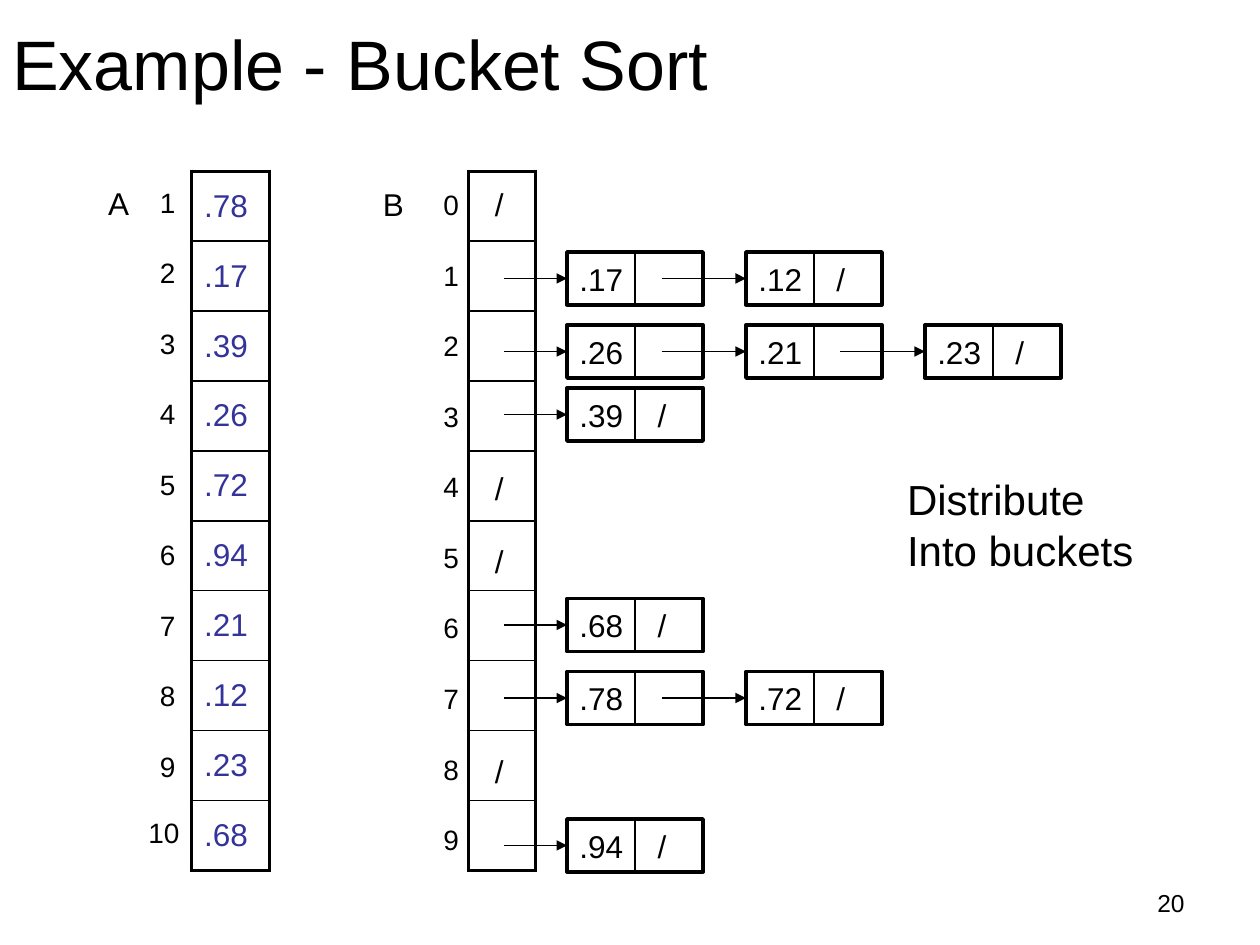
"""Build the bucket sort slide: array A, buckets B and their linked lists."""
from lxml import etree
from pptx import Presentation
from pptx.dml.color import RGBColor
from pptx.enum.shapes import MSO_CONNECTOR, MSO_SHAPE
from pptx.enum.text import MSO_ANCHOR, PP_ALIGN
from pptx.oxml.ns import qn
from pptx.util import Inches, Pt

BLACK = RGBColor(0x00, 0x00, 0x00)
INDIGO = RGBColor(0x33, 0x33, 0x99)
STRAIGHT = MSO_CONNECTOR.STRAIGHT
RECTANGLE = MSO_SHAPE.RECTANGLE
TOP, MIDDLE = MSO_ANCHOR.TOP, MSO_ANCHOR.MIDDLE
LEFT, RIGHT = PP_ALIGN.LEFT, PP_ALIGN.RIGHT

ARRAY = [".78", ".17", ".39", ".26", ".72", ".94", ".21", ".12", ".23", ".68"]
CHAINS = [
    (2.00, [".17", ".12"]),
    (2.58, [".26", ".21", ".23"]),
    (3.08, [".39"]),
    (4.75, [".68"]),
    (5.33, [".78", ".72"]),
    (6.50, [".94"]),
]
TABLE_TOP, TABLE_HEIGHT = 1.36, 5.55
LABEL_PITCH = 0.56
NODE_LEFT, NODE_PITCH = 4.5, 1.42
NODE_WIDTH, NODE_HEIGHT = 1.08, 0.42

deck = Presentation()
deck.slide_width, deck.slide_height = Inches(10), Inches(7.5)
slide = deck.slides.add_slide(deck.slide_layouts[6])


def write(frame, text, size, color=BLACK, align=LEFT):
    for index, line in enumerate(text.split("\n")):
        para = frame.add_paragraph() if index else frame.paragraphs[0]
        para.alignment = align
        if "\t" in line:
            stops = etree.SubElement(para._p.get_or_add_pPr(), qn("a:tabLst"))
            etree.SubElement(stops, qn("a:tab"), pos=str(Inches(0.62)), algn="l")
        span = para.add_run()
        span.text = line
        for name, value in {"size": Pt(size), "name": "Arial"}.items():
            setattr(span.font, name, value)
        span.font.color.rgb = color


def connect(x1, y1, x2, y2, arrow=False):
    line = slide.shapes.add_connector(
        STRAIGHT, Inches(x1), Inches(y1), Inches(x2), Inches(y2))
    line.line.color.rgb = BLACK
    line.line.width = Pt(0.75)
    if arrow:
        etree.SubElement(line.line._get_or_add_ln(), qn("a:tailEnd"), type="triangle")
    etree.SubElement(line._element.spPr, qn("a:effectLst"))
    return line


for left, width, values in [(1.52, 0.62, ARRAY), (3.72, 0.53, [""] * 10)]:
    table = slide.shapes.add_table(
        len(values), 1, Inches(left), Inches(TABLE_TOP),
        Inches(width), Inches(TABLE_HEIGHT)).table
    table.first_row = table.horz_banding = False
    last = len(values) - 1
    for index, value in enumerate(values):
        table.rows[index].height = Inches(TABLE_HEIGHT / len(values))
        cell = table.cell(index, 0)
        cell.vertical_anchor = MIDDLE
        if value:
            write(cell.text_frame, value, 18, INDIGO)
        borders = {
            "a:lnL": 2.25,
            "a:lnR": 2.25,
            "a:lnT": 1 if index else 2.25,
            "a:lnB": 2.25 if index == last else 1,
        }
        for tag, points in borders.items():
            edge = etree.SubElement(
                cell._tc.get_or_add_tcPr(), qn(tag), w=str(Pt(points)))
            paint = etree.SubElement(edge, qn("a:solidFill"))
            etree.SubElement(paint, qn("a:srgbClr"), val=str(BLACK))
        cell.fill.background()

labels = [
    ("Example - Bucket Sort", 0, 0, 9, 0.99, 40, MIDDLE, LEFT),
    ("20", 7.17, 7, 2.33, 0.35, 14, TOP, RIGHT),
    ("A", 0.76, 1.41, 0.37, 0.4, 18, TOP, LEFT),
    ("B", 2.94, 1.42, 0.37, 0.4, 18, TOP, LEFT),
    ("Distribute\nInto buckets", 7.1, 3.71, 2.02, 0.91, 24, TOP, LEFT),
    ("10", 1.08, 6.42, 0.45, 0.37, 16, TOP, LEFT),
]
for row in range(10):
    labels.append((str(row), 3.42, 1.44 + row * LABEL_PITCH, 0.32, 0.37, 16, TOP, LEFT))
for row in range(9):
    labels.append((str(row + 1), 1.17, 1.42 + row * LABEL_PITCH, 0.32, 0.37, 16, TOP, LEFT))
for top in (1.42, 3.67, 4.25, 5.92):
    labels.append(("/", 3.83, top, 0.27, 0.4, 18, TOP, LEFT))

for text, left, top, width, height, size, anchor, align in labels:
    box = slide.shapes.add_textbox(
        Inches(left), Inches(top), Inches(width), Inches(height))
    box.text_frame.word_wrap = width > 2.1
    box.text_frame.vertical_anchor = anchor
    write(box.text_frame, text, size, align=align)

for top, values in CHAINS:
    middle = top + NODE_HEIGHT / 2
    pointer = 4
    for index, value in enumerate(values):
        left = NODE_LEFT + index * NODE_PITCH
        node = slide.shapes.add_shape(
            RECTANGLE, Inches(left), Inches(top),
            Inches(NODE_WIDTH), Inches(NODE_HEIGHT))
        node.shadow.inherit = False
        node.fill.background()
        node.line.color.rgb = BLACK
        node.line.width = Pt(2)
        node.text_frame.word_wrap = True
        node.text_frame.vertical_anchor = MIDDLE
        ending = "\t/" if value == values[-1] else ""
        write(node.text_frame, value + ending, 18)

        center = left + NODE_WIDTH / 2
        divider = connect(center, top, center, top + NODE_HEIGHT)
        divider.begin_connect(node, 0)
        divider.end_connect(node, 2)
        arrow = connect(pointer, middle, left, middle, arrow=True)
        arrow.end_connect(node, 1)
        pointer = left + 0.75

deck.save("out.pptx")
